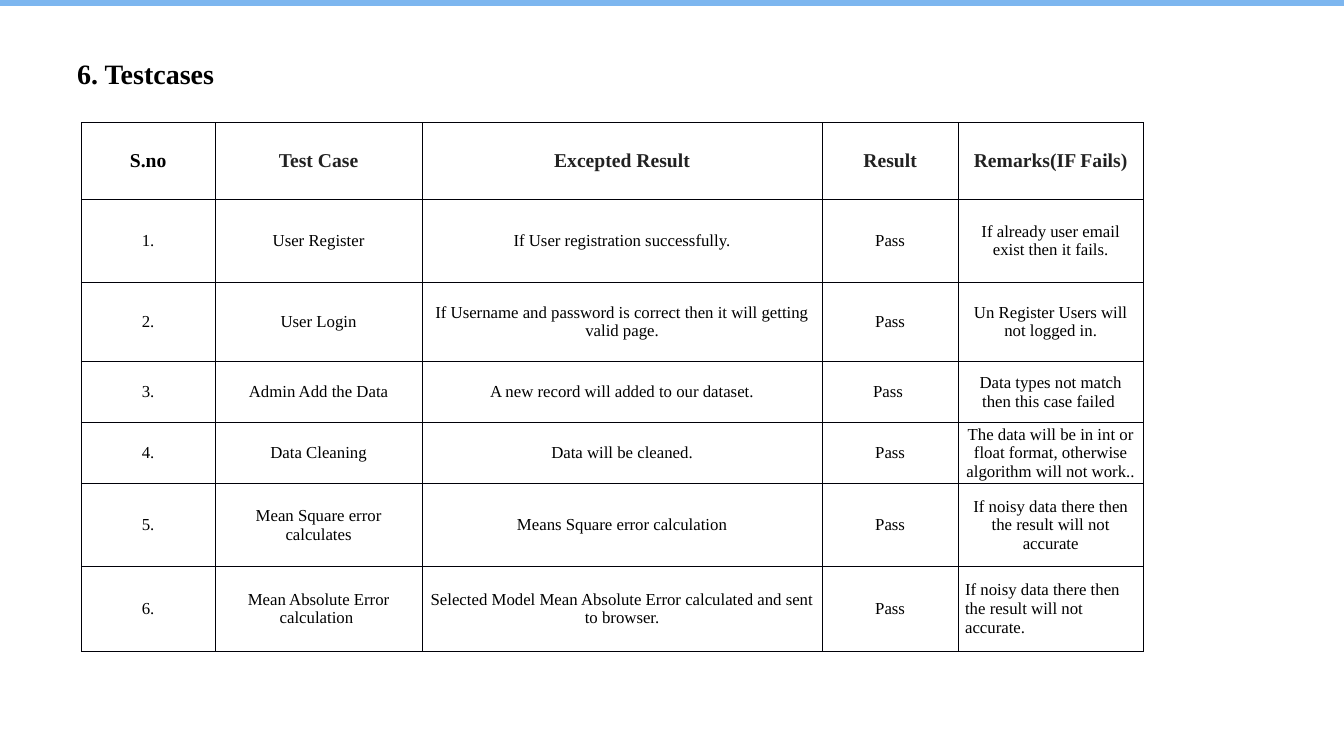
"""Build the test case slide."""
from lxml import etree
from pptx import Presentation
from pptx.dml.color import RGBColor
from pptx.enum import shapes, text
from pptx.oxml import ns
from pptx.util import Pt

BLACK = RGBColor(0x00, 0x00, 0x00)
CHARCOAL = RGBColor(0x22, 0x22, 0x22)
BORDER = RGBColor(0x00, 0x00, 0x08)
SKY = RGBColor(0x7D, 0xB6, 0xEF)
FONT = "Times New Roman"
CENTER, LEFT = text.PP_ALIGN.CENTER, text.PP_ALIGN.LEFT

COLUMN_WIDTHS = [95.7, 147.8, 285.8, 97.1, 132.3]
ROW_HEIGHTS = [55, 59.3, 56.6, 43.6, 43.6, 59.3, 60.6]
HEADINGS = ["S.no", "Test Case", "Excepted Result", "Result", "Remarks(IF Fails)"]
TEST_CASES = [
    ("User Register", "If User registration successfully.", "Pass",
     "If already user email exist then it fails."),
    ("User Login", "If Username and password is correct then it will getting valid page.",
     "Pass", "Un Register Users will not logged in."),
    ("Admin Add the Data", "A new record will added to our dataset.", "Pass ",
     "Data types not match then this case failed "),
    ("Data Cleaning", "Data will be cleaned.", "Pass",
     "The data will be in int or float format, otherwise algorithm will not work.."),
    ("Mean Square error calculates", "Means Square error calculation", "Pass",
     "If noisy data there then the result will not accurate"),
    ("Mean Absolute Error calculation ",
     "Selected Model Mean Absolute Error calculated and sent to browser.", "Pass",
     "If noisy data there then the result will not accurate."),
]


def write(frame, words, size, color=BLACK, bold=False, align=CENTER):
    """Put one formatted paragraph into a text frame."""
    frame.text = words
    para = frame.paragraphs[0]
    para.alignment = align
    for span in para.runs:
        span.font.name = FONT
        span.font.size = Pt(size)
        span.font.bold = bold
        span.font.color.rgb = color


def add_bar(page, left, top, width, height):
    """Add the coloured strip."""
    bar = page.shapes.add_shape(
        shapes.MSO_SHAPE.RECTANGLE, Pt(left), Pt(top), Pt(width), Pt(height))
    bar.shadow.inherit = False
    bar.fill.solid()
    bar.fill.fore_color.rgb = SKY
    bar.line.fill.background()


def add_title(page, words, left, top, width, height):
    """Add the slide heading."""
    box = page.shapes.add_textbox(Pt(left), Pt(top), Pt(width), Pt(height))
    box.text_frame.word_wrap = True
    box.text_frame.vertical_anchor = text.MSO_ANCHOR.MIDDLE
    write(box.text_frame, words, 20, bold=True, align=text.PP_ALIGN.JUSTIFY)


def style_cell(cell):
    """Give a cell its margins, thin borders and empty fill."""
    cell.vertical_anchor = text.MSO_ANCHOR.MIDDLE
    cell.margin_left = cell.margin_right = Pt(5)
    cell.margin_top = cell.margin_bottom = Pt(0)
    properties = cell._tc.get_or_add_tcPr()
    for side in ("a:lnL", "a:lnR", "a:lnT", "a:lnB"):
        line = etree.SubElement(properties, ns.qn(side), w=str(Pt(0.5)))
        fill = etree.SubElement(line, ns.qn("a:solidFill"))
        etree.SubElement(fill, ns.qn("a:srgbClr"), val=str(BORDER))
    cell.fill.background()


def add_test_table(page, left, top):
    """Add the table of test cases with numbered rows."""
    rows = [HEADINGS] + [(f"{number}.", *case) for number, case in enumerate(TEST_CASES, 1)]
    table = page.shapes.add_table(
        len(rows), len(HEADINGS), Pt(left), Pt(top),
        Pt(sum(COLUMN_WIDTHS)), Pt(sum(ROW_HEIGHTS))).table
    table.first_row = table.horz_banding = False
    for column, width in zip(table.columns, COLUMN_WIDTHS):
        column.width = Pt(width)
    for row, height in zip(table.rows, ROW_HEIGHTS):
        row.height = Pt(height)
    last = (len(rows) - 1, len(HEADINGS) - 1)
    for i, row in enumerate(rows):
        for j, words in enumerate(row):
            cell = table.cell(i, j)
            style_cell(cell)
            if i == 0:
                write(cell.text_frame, words, 14, CHARCOAL if j else BLACK, bold=True)
            else:
                write(cell.text_frame, words, 12, align=LEFT if (i, j) == last else CENTER)


def main():
    """Build and save the deck."""
    deck = Presentation()
    deck.slide_width, deck.slide_height = Pt(960), Pt(540)
    page = deck.slides.add_slide(deck.slide_layouts[6])
    add_title(page, "6. Testcases", 48, 17.5, 864, 70)
    add_test_table(page, 58, 87.4)
    add_bar(page, 0, 0, 960, 4.3)
    deck.save("out.pptx")


if __name__ == "__main__":
    main()
